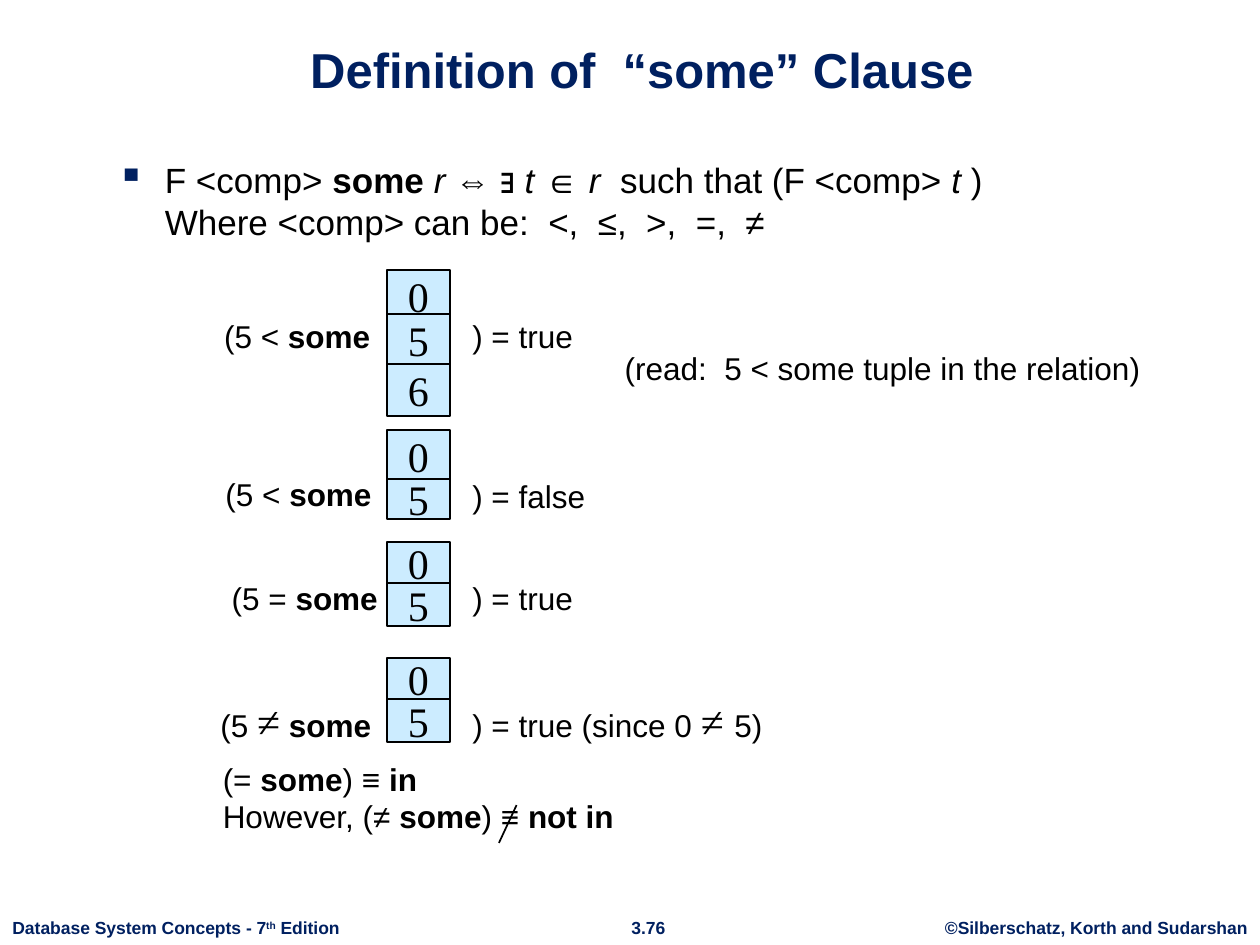
from lxml.etree import SubElement
from pptx import Presentation
from pptx.dml.color import RGBColor
from pptx.enum.shapes import MSO_CONNECTOR, MSO_SHAPE
from pptx.enum.text import MSO_ANCHOR, PP_ALIGN
from pptx.oxml.ns import qn
from pptx.util import Inches, Pt

NAVY = RGBColor(0x00, 0x20, 0x60)
BLACK = RGBColor(0x00, 0x00, 0x00)
PALE_BLUE = RGBColor(0xCC, 0xEC, 0xFF)
SANS, SERIF = "Arial", "Times New Roman"


def add_runs(paragraph, runs, size, color=BLACK, face=SANS):
    """Add (text, style) runs: "b" bold, "i" italic, "s" large serif, "^" superscript."""
    for text, style in runs:
        run = paragraph.add_run()
        run.text = text
        font = run.font
        font.name = SERIF if "s" in style else face
        font.size = Pt(24 if "s" in style else size)
        font.bold = "b" in style
        font.italic = "i" in style
        font.color.rgb = color
        if "^" in style:
            font._element.set("baseline", "30000")


def add_text(box, paragraphs, size, color=BLACK, align=PP_ALIGN.LEFT, wrap=True):
    frame = slide.shapes.add_textbox(*map(Inches, box)).text_frame
    frame.word_wrap = wrap
    for i, runs in enumerate(paragraphs):
        paragraph = frame.add_paragraph() if i else frame.paragraphs[0]
        paragraph.alignment = align
        add_runs(paragraph, runs, size, color)
    return frame


prs = Presentation()
prs.slide_width, prs.slide_height = Inches(10), Inches(7.5)
slide = prs.slides.add_slide(prs.slide_layouts[6])

# Footer
edition = [("Database System Concepts - 7", "b"), ("th", "b^"), (" Edition", "b")]
for left, width, runs, align in [
    (0, 2.81, edition, PP_ALIGN.LEFT),
    (4.9, 0.49, [("3.76", "b")], PP_ALIGN.CENTER),
    (7.4, 2.6, [("©Silberschatz, Korth and Sudarshan", "b")], PP_ALIGN.CENTER),
]:
    add_text((left, 7.23, width, 0.27), [runs], 10, NAVY, align, wrap=False)

# Title
title = add_text((0.68, 0.16, 8.83, 0.67), [[("Definition of  “some” Clause", "b")]],
                 28, NAVY, PP_ALIGN.CENTER)
title.vertical_anchor = MSO_ANCHOR.BOTTOM

# Definition
definition = add_text((0.83, 1.21, 7.44, 0.78), [[
    ("F <comp> ", ""), ("some ", "b"), ("r ", "i"), ("⇔ ∃ ", ""), ("t ", "i"),
    ("∈", ""), (" r  ", "i"), ("such that (F <comp> ", ""), ("t ", "i"), (")", ""),
]], 20).paragraphs[0]
definition.add_line_break()
add_runs(definition, [("Where <comp> can be:  <,  ≤,  >,  =,  ≠", "")], 20)
bullet = definition._p.get_or_add_pPr()
bullet.set("marL", str(Inches(0.38)))
bullet.set("indent", str(Inches(-0.38)))
SubElement(SubElement(bullet, qn("a:buClr")), qn("a:srgbClr")).set("val", str(NAVY))
SubElement(bullet, qn("a:buSzPct")).set("val", "110000")
SubElement(bullet, qn("a:buChar")).set("char", "▪")

# Examples: left side box, result box, and relation tuples as (value, top, height)
less_than = [("(5 < ", ""), ("some", "b")]
equal = [("(5 = ", ""), ("some", "b")]
not_equal = [("(5 ", ""), ("≠", "s"), (" ", ""), ("some", "b")]
since = [(") = true (since 0 ", ""), ("≠ ", "s"), ("5)", "")]
examples = [
    (less_than, (1.68, 2.47, 1.48, 0.4), [(") = true", "")], (3.65, 2.47, 1, 0.4),
     [("0", 2.14, 0.41), ("5", 2.49, 0.41), ("6", 2.89, 0.41)]),
    (less_than, (1.69, 3.72, 1.51, 0.4), [(") = false", "")], (3.65, 3.74, 1.33, 0.4),
     [("0", 3.41, 0.42), ("5", 3.8, 0.32)]),
    (equal, (1.74, 4.55, 1.67, 0.4), [(") = true", "")], (3.65, 4.55, 1.33, 0.4),
     [("0", 4.3, 0.34), ("5", 4.63, 0.34)]),
    (not_equal, (1.65, 5.47, 1.58, 0.5), since, (3.65, 5.47, 2.75, 0.5),
     [("0", 5.22, 0.34), ("5", 5.55, 0.34)]),
]
for condition, condition_box, result, result_box, tuples in examples:
    for value, top, height in tuples:
        cell = slide.shapes.add_shape(MSO_SHAPE.RECTANGLE, Inches(3.07), Inches(top),
                                      Inches(0.5), Inches(height))
        cell.shadow.inherit = False
        cell.fill.solid()
        cell.fill.fore_color.rgb = PALE_BLUE
        cell.line.color.rgb = BLACK
        cell.line.width = Pt(1)
        cell.text_frame.word_wrap = False
        cell.text_frame.vertical_anchor = MSO_ANCHOR.MIDDLE
        cell.text_frame.paragraphs[0].alignment = PP_ALIGN.CENTER
        add_runs(cell.text_frame.paragraphs[0], [(value, "")], 24, face=SERIF)
    add_text(condition_box, [condition], 18)
    add_text(result_box, [result], 18)
add_text((4.86, 2.72, 5.33, 0.4), [[("(read:  5 < some tuple in the relation)", "")]], 18)

# Equivalences, the second one struck through
add_text((1.67, 5.98, 7.44, 0.78), [
    [("(= ", ""), ("some", "b"), (") ≡ ", ""), ("in", "b")],
    [("However, (≠ ", ""), ("some", "b"), (") ≡ ", ""), ("not in", "b")],
], 18)
strike = slide.shapes.add_connector(MSO_CONNECTOR.STRAIGHT, Inches(4.1), Inches(6.39),
                                    Inches(3.96), Inches(6.69))
strike.line.color.rgb = BLACK
strike.line.width = Pt(1)
SubElement(strike._element.spPr, qn("a:effectLst"))

prs.save("out.pptx")
